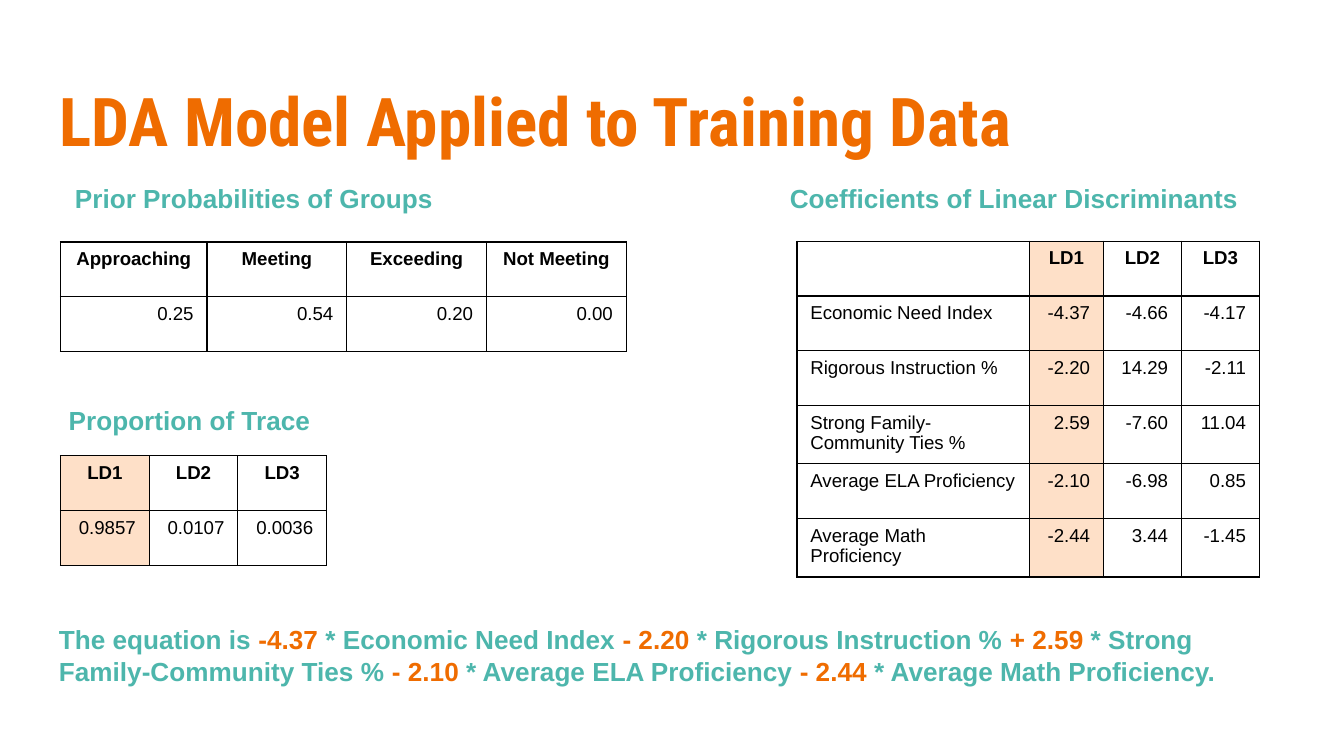
import pptx
import pptx.dml.color
import pptx.enum.text
import pptx.oxml
import pptx.oxml.ns
import pptx.util

WIDTH, HEIGHT = pptx.util.Inches(10), pptx.util.Inches(5.625)
COLORS = {"orange": "EF6C00", "teal": "4DB6AC", "black": "000000", "peach": "FEE0C8"}
ALIGN = pptx.enum.text.PP_ALIGN
ROW_HEIGHT = 7.25


def across(share):
    """Length as a percentage of the slide width."""
    return round(WIDTH * share / 100)


def down(share):
    """Length as a percentage of the slide height."""
    return round(HEIGHT * share / 100)


def box(left, top, width, height):
    return across(left), down(top), across(width), down(height)


def rgb(name):
    return pptx.dml.color.RGBColor.from_string(COLORS[name])


def add_text(paragraph, text, size=14, font="Arial", color="teal", bold=True, align=None):
    paragraph.alignment = align
    run = paragraph.add_run()
    run.text = text
    run.font.size = pptx.util.Pt(size)
    run.font.name = font
    run.font.bold = bold
    run.font.color.rgb = rgb(color)


def add_title(slide, text):
    title = slide.shapes.title
    title.left, title.top, title.width, title.height = box(3.4, 8.7, 93.2, 13.7)
    frame = title.text_frame
    frame.auto_size = pptx.enum.text.MSO_AUTO_SIZE.NONE
    frame.vertical_anchor = pptx.enum.text.MSO_ANCHOR.TOP
    frame.margin_left = frame.margin_right = pptx.util.Inches(0.1)
    frame.margin_top = frame.margin_bottom = pptx.util.Inches(0.1)
    add_text(frame.paragraphs[0], text, size=36, font="Roboto Condensed",
             color="orange", align=ALIGN.LEFT)


def add_text_box(slide, place, pieces, align=ALIGN.LEFT):
    """Add one paragraph made of (text, color) pieces."""
    frame = slide.shapes.add_textbox(*box(*place)).text_frame
    frame.word_wrap = True
    for text, color in pieces:
        add_text(frame.paragraphs[0], text, color=color, align=align)


def add_borders(cell):
    properties = cell._tc.get_or_add_tcPr()
    for side in ("lnL", "lnR", "lnT", "lnB"):
        properties.append(pptx.oxml.parse_xml(
            f'<a:{side} {pptx.oxml.ns.nsdecls("a")} w="{pptx.util.Pt(0.75)}">'
            f'<a:solidFill><a:srgbClr val="{COLORS["black"]}"/></a:solidFill></a:{side}>'))


def add_table(slide, left, top, widths, rows, marked=None, labels=False):
    """Draw a bordered table; marked is the column to fill."""
    place = box(left, top, sum(widths), ROW_HEIGHT * len(rows))
    table = slide.shapes.add_table(len(rows), len(widths), *place).table
    table.first_row = table.horz_banding = False
    for column, width in zip(table.columns, widths):
        column.width = across(width)
    for row_index, row in enumerate(rows):
        table.rows[row_index].height = down(ROW_HEIGHT)
        for column_index, text in enumerate(row):
            cell = table.cell(row_index, column_index)
            add_borders(cell)
            if column_index == marked:
                cell.fill.solid()
                cell.fill.fore_color.rgb = rgb("peach")
            else:
                cell.fill.background()
            header = row_index == 0
            if header:
                align = ALIGN.CENTER
            elif labels and column_index == 0:
                align = ALIGN.LEFT
            else:
                align = ALIGN.RIGHT
            add_text(cell.text_frame.paragraphs[0], text, size=10, color="black",
                     bold=header, align=align)


def main():
    presentation = pptx.Presentation()
    presentation.slide_width, presentation.slide_height = WIDTH, HEIGHT
    slide = presentation.slides.add_slide(presentation.slide_layouts[5])
    add_title(slide, "LDA Model Applied to Training Data")

    # Section headings
    for place, heading in (
        ((4.5, 23.3, 28.8, 6.1), "Prior Probabilities of Groups"),
        ((57.7, 23.3, 35.5, 6.1), "Coefficients of Linear Discriminants"),
        ((4, 52.6, 20.2, 6.1), "Proportion of Trace"),
    ):
        add_text_box(slide, place, [(heading, "teal")], align=ALIGN.CENTER)

    # Prior probabilities
    add_table(slide, 4.5, 32, [10.9] + [10.4] * 3, [
        ["Approaching", "Meeting", "Exceeding", "Not Meeting"],
        ["0.25", "0.54", "0.20", "0.00"],
    ])

    # Coefficients
    discriminants = ["LD1", "LD2", "LD3"]
    add_table(slide, 59.3, 31.9, [17.3, 5.5, 5.8, 5.8], [
        ["", *discriminants],
        ["Economic Need Index", "-4.37", "-4.66", "-4.17"],
        ["Rigorous Instruction %", "-2.20", "14.29", "-2.11"],
        ["Strong Family-Community Ties %", "2.59", "-7.60", "11.04"],
        ["Average ELA Proficiency", "-2.10", "-6.98", "0.85"],
        ["Average Math Proficiency", "-2.44", "3.44", "-1.45"],
    ], marked=1, labels=True)

    # Proportion of trace
    add_table(slide, 4.5, 60.3, [6.6] * 3, [
        discriminants,
        ["0.9857", "0.0107", "0.0036"],
    ], marked=0)

    # Equation, with the coefficients in orange
    add_text_box(slide, (3.4, 81.6, 92.3, 10.2), [
        ("The equation is ", "teal"),
        ("-4.37 ", "orange"), ("* Economic Need Index ", "teal"),
        ("- 2.20 ", "orange"), ("* Rigorous Instruction % ", "teal"),
        ("+ 2.59", "orange"), (" * Strong Family-Community Ties % ", "teal"),
        ("- 2.10 ", "orange"), ("* Average ELA Proficiency ", "teal"),
        ("- 2.44 ", "orange"), ("* Average Math Proficiency.", "teal"),
    ])

    presentation.save("out.pptx")


if __name__ == "__main__":
    main()
